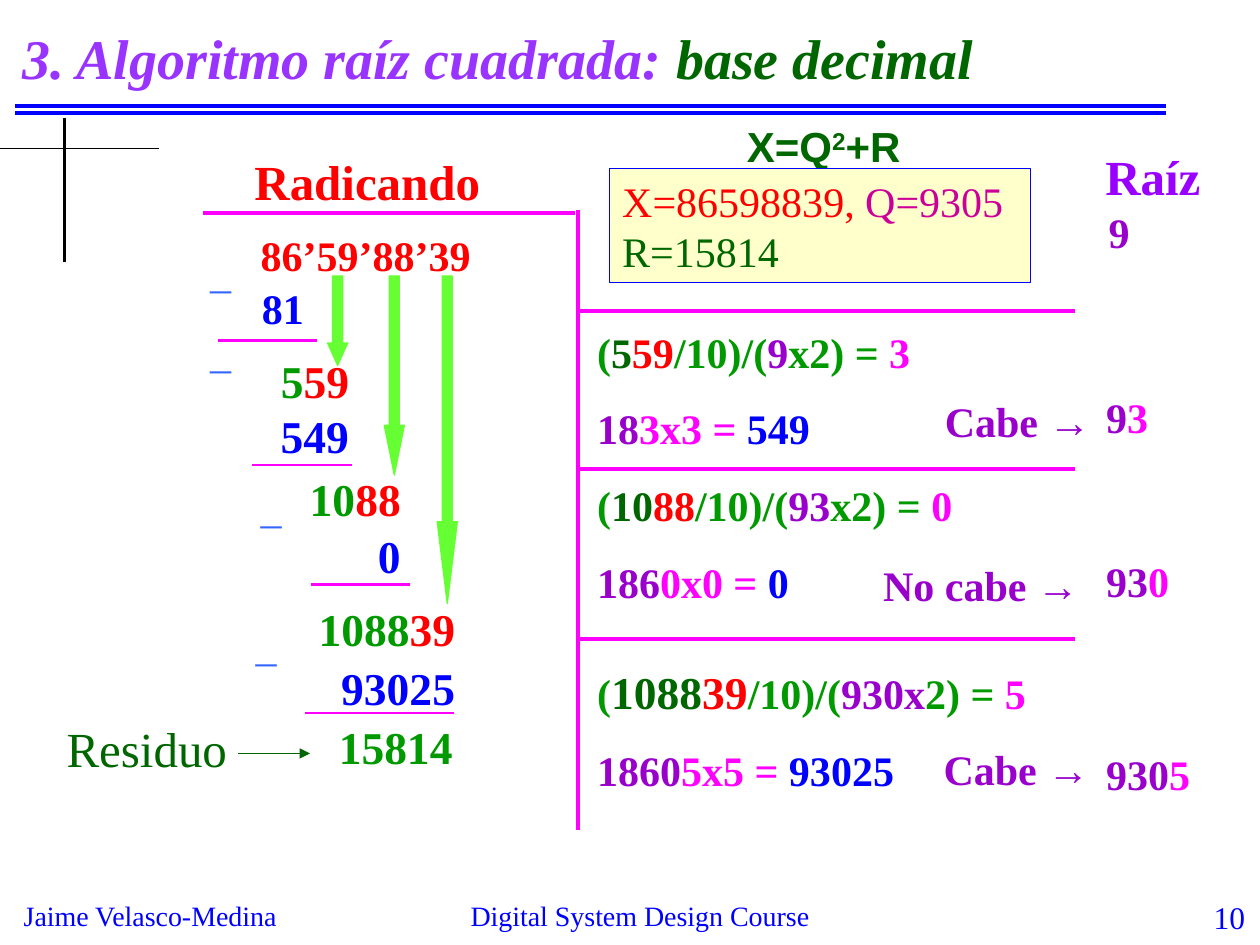
from lxml.etree import SubElement
from pptx import Presentation
from pptx.dml.color import RGBColor
from pptx.enum.shapes import MSO_CONNECTOR, MSO_SHAPE
from pptx.enum.text import MSO_ANCHOR, MSO_AUTO_SIZE, PP_ALIGN
from pptx.oxml.ns import qn
from pptx.util import Inches, Pt

BLACK = RGBColor(0x00, 0x00, 0x00)
BLUE = RGBColor(0x00, 0x00, 0xFF)
SKY = RGBColor(0x33, 0x66, 0xFF)
RED = RGBColor(0xFF, 0x00, 0x00)
GREEN = RGBColor(0x00, 0x99, 0x00)
DARK_GREEN = RGBColor(0x00, 0x66, 0x00)
LIME = RGBColor(0x66, 0xFF, 0x33)
PURPLE = RGBColor(0x99, 0x00, 0xCC)
VIOLET = RGBColor(0x99, 0x00, 0xFF)
LILAC = RGBColor(0x99, 0x33, 0xFF)
MAGENTA = RGBColor(0xFF, 0x00, 0xFF)
PLUM = RGBColor(0xCC, 0x00, 0x99)
CREAM = RGBColor(0xFF, 0xFF, 0xCC)

COLUMNS, ROWS = 100, 75


def write(frame, *paragraphs, size=24, bold=True, italic=False, font="Times New Roman",
          align=PP_ALIGN.LEFT, wrap=True, grow=True, anchor=MSO_ANCHOR.TOP, gap=15):
    """Fill a frame; each paragraph is a list of (text, colour, optional size)."""
    frame.word_wrap = wrap
    frame.auto_size = MSO_AUTO_SIZE.SHAPE_TO_FIT_TEXT if grow else MSO_AUTO_SIZE.NONE
    frame.vertical_anchor = anchor
    for index, pieces in enumerate(paragraphs):
        paragraph = frame.add_paragraph() if index else frame.paragraphs[0]
        paragraph.alignment = align
        if index:
            paragraph.space_before = Pt(gap)
        for text, color, *own_size in pieces:
            run = paragraph.add_run()
            run.text = text
            run.font.name = font
            run.font.size = Pt(own_size[0] if own_size else size)
            run.font.bold = bold
            run.font.italic = italic
            run.font.color.rgb = color
    return frame


class Board:
    """The current slide, measured in columns and rows."""

    def __init__(self, deck):
        self.slide = deck.slides.add_slide(deck.slide_layouts[6])
        self.column = deck.slide_width / COLUMNS
        self.row = deck.slide_height / ROWS

    def place(self, x, y):
        return round(x * self.column), round(y * self.row)

    def text(self, x, y, w, h, *paragraphs, **style):
        box = self.slide.shapes.add_textbox(*self.place(x, y), *self.place(w, h))
        return write(box.text_frame, *paragraphs, **style)

    def shape(self, kind, x, y, w, h, fill, outline):
        shape = self.slide.shapes.add_shape(kind, *self.place(x, y), *self.place(w, h))
        shape.shadow.inherit = False
        shape.fill.solid()
        shape.fill.fore_color.rgb = fill
        shape.line.color.rgb = outline
        shape.line.width = Pt(0.75)
        return shape

    def line(self, x1, y1, x2, y2, color, width, arrow=False):
        line = self.slide.shapes.add_connector(
            MSO_CONNECTOR.STRAIGHT, *self.place(x1, y1), *self.place(x2, y2))
        line.line.color.rgb = color
        line.line.width = Pt(width)
        if arrow:
            SubElement(line.line._get_or_add_ln(), qn("a:tailEnd"), type="triangle")
        SubElement(line._element.spPr, qn("a:effectLst"))

    def down_arrow(self, x, y, h, w=1.6):
        arrow = self.shape(MSO_SHAPE.DOWN_ARROW, x, y, w, h, LIME, LIME)
        arrow.adjustments[0] = 0.5
        arrow.adjustments[1] = h / w / 4  # head takes a quarter of the length


def draw_frame(board):
    # Title, its double rule and the corner cross
    board.text(0.8, 0.8, 91.7, 7.5,
               [("3. Algoritmo raíz cuadrada: ", LILAC), ("base decimal", DARK_GREEN)],
               size=32, italic=True, grow=False, anchor=MSO_ANCHOR.MIDDLE)
    for y in (8.4, 9):
        board.line(1.2, y, 92.5, y, BLUE, 2.25)
    board.line(5.1, 9.4, 5.1, 20.8, BLACK, 1.5)
    board.line(0, 11.8, 12.6, 11.8, BLACK, 0.75)

    # Footer
    for x, w, words, size, align in (
            (0.9, 22.4, "Jaime Velasco-Medina", 16, PP_ALIGN.LEFT),
            (33.3, 35, "Digital System Design Course", 16, PP_ALIGN.CENTER),
            (92.9, 6.9, "10", 18, PP_ALIGN.RIGHT)):
        board.text(x, 70.8, w, 3.3, [(words, BLUE)], size=size, bold=False,
                   align=align, grow=False)


def draw_formula(board):
    formula = board.text(58.3, 9.1, 14.2, 5,
                         [("X=Q", DARK_GREEN), ("2", DARK_GREEN), ("+R", DARK_GREEN)],
                         font="Arial", wrap=False)
    formula.paragraphs[0].runs[1].font._element.set("baseline", "30000")
    values = board.shape(MSO_SHAPE.RECTANGLE, 48.4, 13.4, 33.4, 9, CREAM, BLUE)
    write(values.text_frame,
          [("X=86598839, ", RED), ("Q=9305", PLUM), (" R=15814", DARK_GREEN)], bold=False)


def draw_radicand(board):
    # Headings
    board.text(19.1, 11.5, 20.1, 5.7, [("Radicando", RED)], size=28, align=PP_ALIGN.CENTER)
    board.text(3.2, 56.5, 16.9, 5.7, [("Residuo", DARK_GREEN)], size=28, bold=False,
               align=PP_ALIGN.CENTER)
    board.line(18.9, 59.8, 24.6, 59.8, DARK_GREEN, 0.75, arrow=True)

    # Column of the long calculation
    board.text(19.7, 17.7, 25.2, 5, [("86’59’88’39", RED)])
    board.text(19.8, 21.9, 7.1, 5, [("81", BLUE)])
    for x, y, w, *pieces in (
            (21.3, 27.5, 7.9, ("5", GREEN), ("59", RED)),
            (21.3, 31.9, 7.4, ("549", BLUE)),
            (23.6, 36.9, 12.2, ("10", GREEN), ("88", RED)),
            (29, 41.4, 3.8, ("0", BLUE)),
            (24.3, 47.2, 13.8, ("1088", GREEN), ("39", RED)),
            (26.1, 51.9, 11.8, ("93025", BLUE)),
            (25.9, 56.6, 11.8, ("15814", GREEN))):
        board.text(x, y, w, 5.4, pieces, size=26)

    # Minus signs and subtraction rules
    for x, y in ((15.7, 19.1), (15.7, 25.4), (19.7, 37.7), (19.3, 48.7)):
        board.text(x, y, 5.5, 5, [("_", SKY)], bold=False)
    for x1, x2, y in ((17.3, 25.2, 27), (20, 27.9, 36.9),
                      (24.7, 32.5, 46.4), (24.2, 36, 56.6)):
        board.line(x1, y, x2, y, MAGENTA, 1.5)

    # Pairs of digits brought down
    for x, length in ((26, 7.1), (30.5, 15.8), (34.7, 26)):
        board.down_arrow(x, 21.9, length)


def draw_root(board):
    # Dividers
    board.line(16.1, 16.9, 45.6, 16.9, MAGENTA, 2.25)
    board.line(45.9, 16.7, 45.9, 65.9, MAGENTA, 2.25)
    for y in (24.7, 37.2, 50.7):
        board.line(45.9, y, 85.3, y, MAGENTA, 2.25)

    # Trial division and product of each step
    for y, w, division, product in (
            (25.4, 28.4,
             [("(", GREEN), ("5", DARK_GREEN), ("59", RED), ("/10)/(", GREEN),
              ("9", PURPLE), ("x2) = ", GREEN), ("3", MAGENTA)],
             [("18", PURPLE), ("3x3 = ", MAGENTA), ("549", BLUE)]),
            (37.6, 32.3,
             [("(", GREEN), ("10", DARK_GREEN), ("88", RED), ("/10)/(", GREEN),
              ("93", PURPLE), ("x2) = ", GREEN), ("0", MAGENTA)],
             [("186", PURPLE), ("0x0 = ", MAGENTA), ("0", BLUE)]),
            (52.2, 42.5,
             [("(", GREEN), ("1088", DARK_GREEN, 26), ("39", RED, 26), ("/10)/(", GREEN),
              ("930x", PURPLE), ("2) =", GREEN), (" 5", MAGENTA)],
             [("1860", PURPLE), ("5x5 = ", MAGENTA), ("93025", BLUE)])):
        board.text(46.4, y, w, 11.1, division, product)

    # Verdict of each step
    for x, y, w, verdict in ((74, 30.9, 15, "Cabe →"), (69.1, 43.9, 18.1, "No cabe →"),
                             (73.9, 58.5, 15, "Cabe →")):
        board.text(x, y, w, 5, [(verdict, PURPLE)])

    # Root growing digit by digit
    board.text(86, 11.1, 11, 5.7, [("Raíz", VIOLET)], size=28, align=PP_ALIGN.CENTER)
    board.text(87, 15.9, 4.7, 5, [("9", PURPLE)])
    for y, known, digit in ((30.6, "9", "3"), (43.6, "93", "0"), (58.9, "930", "5")):
        board.text(86.8, y, 9.4, 5, [(known, PURPLE), (digit, MAGENTA)])


def main():
    deck = Presentation()
    deck.slide_width, deck.slide_height = Inches(10), Inches(7.5)
    board = Board(deck)
    draw_frame(board)
    draw_formula(board)
    draw_radicand(board)
    draw_root(board)
    deck.save("out.pptx")


if __name__ == "__main__":
    main()
